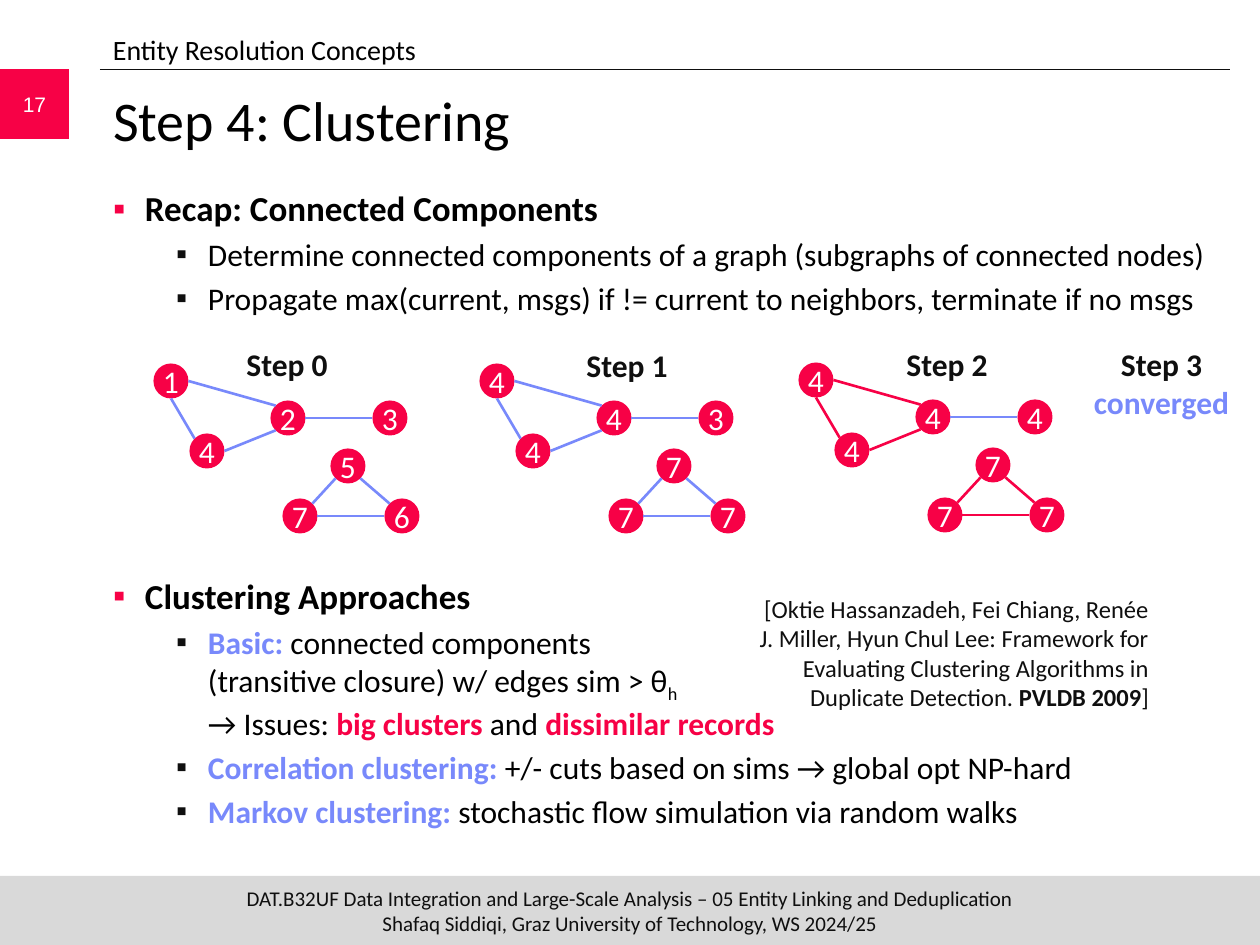
from math import cos, sin, radians
from lxml.etree import SubElement
from pptx import Presentation
from pptx.dml.color import RGBColor
from pptx.enum.shapes import MSO_CONNECTOR, MSO_SHAPE
from pptx.enum.text import MSO_ANCHOR, PP_ALIGN
from pptx.oxml.ns import qn
from pptx.util import Emu, Pt

PX = 914400 / 126
HEX = {"red": "F70146", "blue": "7889FB", "ink": "0F0F0F",
       "black": "000000", "white": "FFFFFF", "gray": "D9D9D9"}
RGB = {name: RGBColor.from_string(code) for name, code in HEX.items()}
LEFT, MID, RIGHT = PP_ALIGN.LEFT, PP_ALIGN.CENTER, PP_ALIGN.RIGHT


def px(*nums):
    return [Emu(round(n * PX)) for n in nums]


def write(shape, paras, size, align=LEFT, anchor=MSO_ANCHOR.TOP,
          side=13, edge=6, face="Calibri"):
    """Fill a shape with paragraphs of (text, colour, bold) parts; a newline breaks the line."""
    frame = shape.text_frame
    frame.word_wrap = True
    frame.vertical_anchor = anchor
    frame.margin_left = frame.margin_right = px(side)[0]
    frame.margin_top = frame.margin_bottom = px(edge)[0]
    for i, parts in enumerate(paras):
        par = frame.add_paragraph() if i else frame.paragraphs[0]
        par.alignment = align
        for text, color, bold in parts:
            for j, line in enumerate(text.split("\n")):
                if j:
                    par.add_line_break()
                if not line:
                    continue
                run = par.add_run()
                run.text = line
                run.font.name, run.font.size = face, Pt(size)
                run.font.bold = bold
                run.font.color.rgb = RGB[color]


deck = Presentation()
deck.slide_width, deck.slide_height = px(1260, 945)
slide = deck.slides.add_slide(deck.slide_layouts[5])
shapes = slide.shapes

# Frame: footer, page number, header rule, title
foot = ("DAT.B32UF Data Integration and Large-Scale Analysis – 05 Entity Linking and Deduplication\n"
        "Shafaq Siddiqi, Graz University of Technology, WS 2024/25")
for box, fill, text, color, face in [
        ((0, 876, 1260, 69), "gray", foot, "ink", "Calibri"),
        ((0, 69, 69, 70), "red", "17", "white", "Arial")]:
    bar = shapes.add_shape(MSO_SHAPE.RECTANGLE, *px(*box))
    bar.shadow.inherit = False
    bar.fill.solid()
    bar.fill.fore_color.rgb = RGB[fill]
    bar.line.fill.background()
    write(bar, [[(text, color, False)]], 12, MID, MSO_ANCHOR.MIDDLE, 0, 0, face)

rule = shapes.add_connector(MSO_CONNECTOR.STRAIGHT, *px(100, 69, 1230, 69))
rule.line.color.rgb = RGB["ink"]
rule.line.width = Pt(0.5)
SubElement(rule._element.spPr, qn("a:effectLst"))

title = shapes.title
title.left, title.top, title.width, title.height = px(100, 79, 1129, 105)
write(title, [[("Step 4: Clustering", "black", False)]], 32)
head = shapes.add_textbox(*px(100, 27, 1134, 45))
write(head, [[("Entity Resolution Concepts", "black", False)]], 16)

# Bullet lists: the first paragraph of each is the heading
recap = [
    [("Recap: Connected Components", "black", True)],
    [("Determine connected components of a graph (subgraphs of connected nodes)", "black", False)],
    [("Propagate max(current, msgs) if != current to neighbors, terminate if no msgs", "black", False)],
]
ways = [
    [("Clustering Approaches", "black", True)],
    [("Basic:", "blue", True),
     (" connected components\n(transitive closure) w/ edges sim > θ", "black", False),
     ("h", "black", False), ("\n→ Issues: ", "black", False),
     ("big clusters", "red", True), (" and ", "black", False),
     ("dissimilar records", "red", True)],
    [("Correlation clustering:", "blue", True),
     (" +/- cuts based on sims → global opt NP-hard", "black", False)],
    [("Markov clustering:", "blue", True),
     (" stochastic flow simulation via random walks", "black", False)],
]
for top, high, paras in [(181, 150, recap), (569, 290, ways)]:
    body = shapes.add_textbox(*px(100, top, 1129, high))
    write(body, paras, 18)
    for i, par in enumerate(body.text_frame.paragraphs):
        if i:
            par.space_before = Pt(3.5)
        else:
            par.runs[0].font.size = Pt(20)
        props = par._p.get_or_add_pPr()
        left, hang = px(95 if i else 32, -32)
        props.set("marL", str(left))
        props.set("indent", str(hang))
        tint = SubElement(props, qn("a:buClr"))
        SubElement(tint, qn("a:srgbClr"), val=HEX["ink" if i else "red"])
        SubElement(props, qn("a:buFont"), typeface="Arial")
        SubElement(props, qn("a:buChar"), char="▪")
        for run in par.runs:
            if run.text == "h":
                run.font._element.set("baseline", "-25000")

# Graphs: one layout of nodes and edges, shifted for every step
R = 17.5
nodes = [(171, 381), (288, 418), (207, 451), (390, 418),
         (348, 466), (300, 516), (402, 516)]
# Each edge: node and side, node and side; sides count by 45 degrees, left from the top
edges = [(2, 1, 0, 4), (1, 1, 0, 6), (2, 6, 1, 3), (3, 2, 1, 6),
         (5, 7, 4, 3), (6, 1, 4, 5), (6, 2, 5, 6)]
steps = [(0, 0, "1243576", ""), (326, 0, "4443777", ""), (645, -1, "4444777", "012456")]
for dx, dy, marks, hot in steps:
    graph = shapes.add_group_shape().shapes
    spots = [(x + dx, y + dy) for x, y in nodes]
    for (x, y), mark in zip(spots, marks):
        node = graph.add_shape(MSO_SHAPE.OVAL, *px(x - R, y - R, 2 * R, 2 * R))
        node.shadow.inherit = False
        node.fill.solid()
        node.fill.fore_color.rgb = RGB["red"]
        node.line.fill.background()
        write(node, [[(mark, "white", False)]], 18, MID, MSO_ANCHOR.MIDDLE, 0, 0)
    for i, (a, p, b, q) in enumerate(edges):
        ends = []
        for n, side in [(a, p), (b, q)]:
            turn = radians(90 + 45 * side)
            ends += [spots[n][0] + R * cos(turn), spots[n][1] - R * sin(turn)]
        edge = graph.add_connector(MSO_CONNECTOR.STRAIGHT, *px(*ends))
        edge.line.color.rgb = RGB["red" if str(i) in hot else "blue"]
        edge.line.width = Pt(1.5)
        SubElement(edge._element.spPr, qn("a:effectLst"))

# Step labels and citation
cite = [("[Oktie Hassanzadeh, Fei Chiang, Renée J. Miller, Hyun Chul Lee: Framework for "
         "Evaluating Clustering Algorithms in Duplicate Detection. ", "ink", False),
        ("PVLDB 2009", "ink", True), ("]", "ink", False)]
for box, parts, size, align in [
        ((169, 339, 236, 50), [("Step 0", "ink", True)], 18, MID),
        ((509, 340, 236, 50), [("Step 1", "ink", True)], 18, MID),
        ((829, 339, 236, 50), [("Step 2", "ink", True)], 18, MID),
        ((1077, 339, 169, 89), [("Step 3\n", "ink", True), ("converged", "blue", True)], 18, MID),
        ((756, 588, 393, 131), cite, 14, RIGHT)]:
    write(shapes.add_textbox(*px(*box)), [parts], size, align, side=0)

deck.save("out.pptx")
